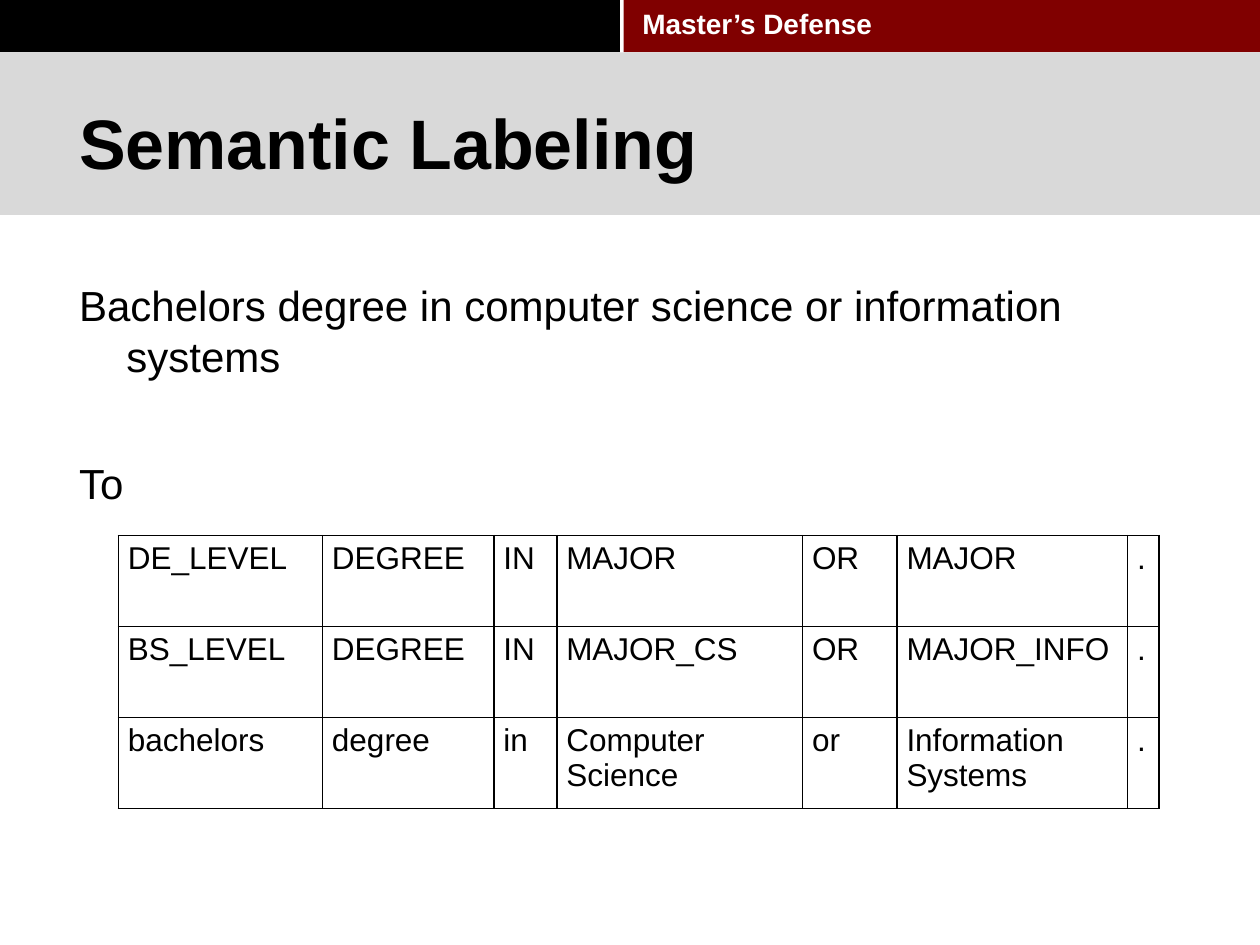
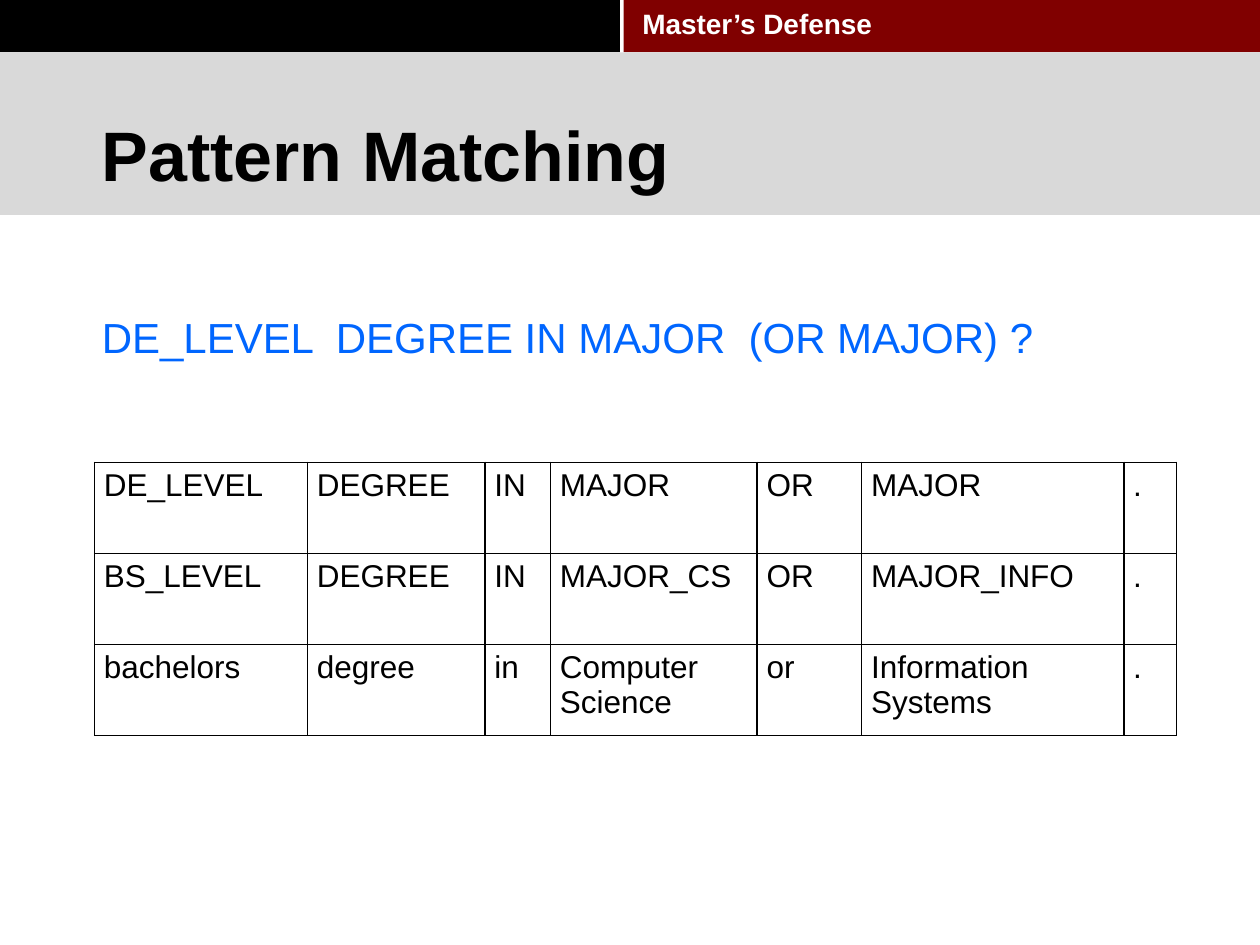
from dataclasses import dataclass
from typing import NamedTuple

from lxml import etree
from pptx import Presentation, util as u
from pptx.dml.color import RGBColor
from pptx.enum import shapes, text
from pptx.oxml.ns import qn

SLIDE_WIDTH, SLIDE_HEIGHT = u.Inches(10), u.Inches(7.5)
GRID_UNIT = SLIDE_WIDTH / 100  # the slide is 100 columns by 75 rows


@dataclass(frozen=True)
class Theme:
    font: str = "Arial"
    ink: str = "000000"
    maroon: str = "800000"
    grey: str = "D9D9D9"
    white: str = "FFFFFF"
    pattern_blue: str = "0066FF"
    title_size: int = 40
    body_size: int = 24
    table_size: int = 18
    header_size: int = 16
    border_width: int = 1


THEME = Theme()


class Area(NamedTuple):
    """Place on the grid, in columns and rows."""
    left: float
    top: float
    width: float
    height: float

    def lengths(self) -> list[u.Emu]:
        return [grid(value) for value in self]


class Band(NamedTuple):
    area: Area
    color: str


class Style(NamedTuple):
    size: int
    color: str = THEME.ink
    bold: bool = False


class Line(NamedTuple):
    """A body paragraph and the space above it, in points."""
    wording: str
    space_before: int


@dataclass(frozen=True)
class LabelTable:
    left: float
    top: float
    columns: tuple[float, ...]
    row_height: float = 7.23


BANDS = (
    Band(Area(0, 0, 49.2, 4.15), THEME.ink),
    Band(Area(49.5, 0, 50.5, 4.15), THEME.maroon),
    Band(Area(0, 4.15, 100, 12.9), THEME.grey),
)
HEADER_AREA = Area(50, 0, 22.5, 3.7)
TITLE_STYLE = Style(THEME.title_size, bold=True)
HEADER_STYLE = Style(THEME.header_size, THEME.white, True)
HANGING_INDENT = 3.75

LABELS = (
    ("DE_LEVEL", "DEGREE", "IN", "MAJOR", "OR", "MAJOR", "."),
    ("BS_LEVEL", "DEGREE", "IN", "MAJOR_CS", "OR", "MAJOR_INFO", "."),
    ("bachelors", "degree", "in", "Computer Science", "or", "Information Systems", "."),
)


def grid(units: float) -> u.Emu:
    return u.Emu(round(units * GRID_UNIT))


def format_runs(paragraph, style: Style) -> None:
    for run in paragraph.runs:
        run.font.name = THEME.font
        run.font.size = u.Pt(style.size)
        run.font.bold = style.bold
        run.font.color.rgb = RGBColor.from_string(style.color)


def add_text(slide, area: Area, wording: str, style: Style,
             anchor=text.MSO_ANCHOR.TOP, wrap: bool = True):
    frame = slide.shapes.add_textbox(*area.lengths()).text_frame
    frame.word_wrap = wrap
    frame.vertical_anchor = anchor
    frame.text = wording
    for paragraph in frame.paragraphs:
        format_runs(paragraph, style)
    return frame


def add_band(slide, band: Band) -> None:
    shape = slide.shapes.add_shape(shapes.MSO_SHAPE.RECTANGLE, *band.area.lengths())
    shape.shadow.inherit = False
    shape.fill.solid()
    shape.fill.fore_color.rgb = RGBColor.from_string(band.color)
    shape.line.fill.background()


def add_titled_slide(deck, title: str, title_left: float, title_top: float):
    slide = deck.slides.add_slide(deck.slide_layouts[6])
    for band in BANDS:
        add_band(slide, band)
    add_text(slide, HEADER_AREA, "Master’s Defense", HEADER_STYLE)
    add_text(slide, Area(title_left, title_top, 80.3, 10.9), title, TITLE_STYLE,
             text.MSO_ANCHOR.MIDDLE)
    return slide


def add_hanging_lines(slide, area: Area, lines: tuple[Line, ...]) -> None:
    frame = add_text(slide, area, "\n".join(line.wording for line in lines),
                     Style(THEME.body_size))
    indent = grid(HANGING_INDENT)
    for paragraph, line in zip(frame.paragraphs, lines):
        paragraph.space_before = u.Pt(line.space_before)
        properties = paragraph._p.get_or_add_pPr()
        properties.set("marL", str(indent))
        properties.set("indent", str(-indent))


def outline_cell(cell) -> None:
    """Draw all four borders; they must precede the fill in the cell's XML."""
    properties = cell._tc.get_or_add_tcPr()
    for position, side in enumerate(("a:lnL", "a:lnR", "a:lnT", "a:lnB")):
        border = etree.Element(qn(side), w=str(u.Pt(THEME.border_width)))
        solid = etree.SubElement(border, qn("a:solidFill"))
        etree.SubElement(solid, qn("a:srgbClr"), val=THEME.ink)
        properties.insert(position, border)


def add_label_table(slide, layout: LabelTable) -> None:
    area = Area(layout.left, layout.top, sum(layout.columns),
                layout.row_height * len(LABELS))
    table = slide.shapes.add_table(len(LABELS), len(layout.columns),
                                   *area.lengths()).table
    table.first_row = table.horz_banding = False
    for column, width in zip(table.columns, layout.columns):
        column.width = grid(width)
    for row, labels in zip(table.rows, LABELS):
        row.height = grid(layout.row_height)
        for cell, label in zip(row.cells, labels):
            cell.margin_left = cell.margin_right = grid(0.75)
            cell.margin_top = cell.margin_bottom = grid(0.4)
            cell.fill.background()
            cell.text = label
            format_runs(cell.text_frame.paragraphs[0], Style(THEME.table_size))
            outline_cell(cell)


def build_semantic_labeling(deck) -> None:
    slide = add_titled_slide(deck, "Semantic Labeling", 5.3, 5.8)
    add_hanging_lines(slide, Area(5.3, 21.7, 90, 44.2), (
        Line("Bachelors degree in computer science or information systems", 8),
        Line("To", 44),
    ))
    add_label_table(slide, LabelTable(
        9.4, 42.5, (16.2, 13.6, 5, 19.5, 7.5, 18.3, 2.5)))


def build_pattern_matching(deck) -> None:
    slide = add_titled_slide(deck, "Pattern Matching", 7.1, 6.7)
    pattern = add_text(slide, Area(7.1, 24.2, 76.7, 5),
                       "DE_LEVEL  DEGREE IN MAJOR  (OR MAJOR) ?",
                       Style(THEME.body_size, THEME.pattern_blue), wrap=False)
    pattern.auto_size = text.MSO_AUTO_SIZE.SHAPE_TO_FIT_TEXT
    add_label_table(slide, LabelTable(
        7.5, 36.7, (16.9, 14.1, 5.2, 16.4, 8.3, 20.8, 4.2)))


def main() -> None:
    deck = Presentation()
    deck.slide_width, deck.slide_height = SLIDE_WIDTH, SLIDE_HEIGHT
    build_semantic_labeling(deck)
    build_pattern_matching(deck)
    deck.save("out.pptx")


if __name__ == "__main__":
    main()
